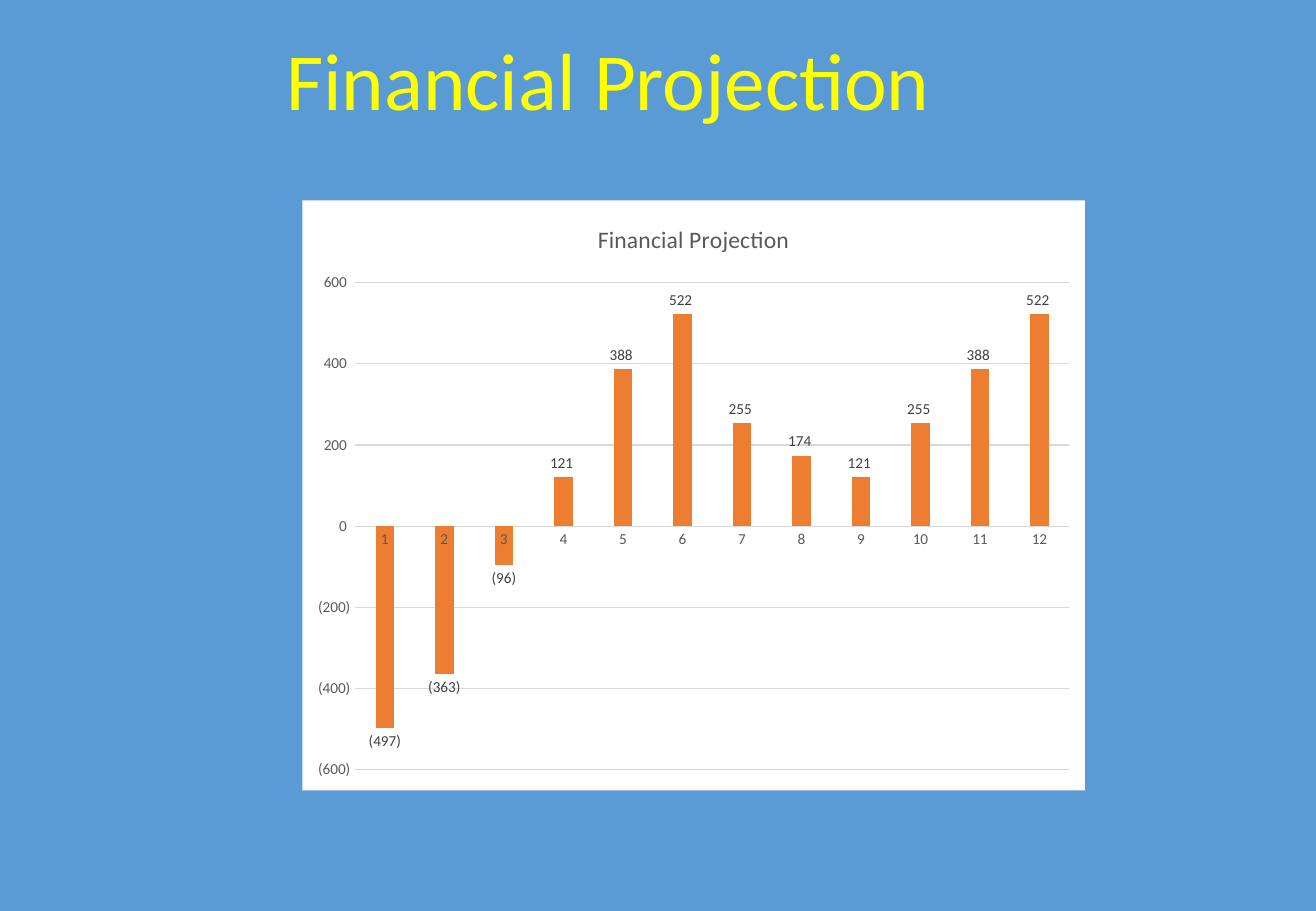
from lxml import etree
from pptx import Presentation
from pptx.chart.data import CategoryChartData
from pptx.dml.color import RGBColor
from pptx.enum.chart import XL_CHART_TYPE, XL_LABEL_POSITION, XL_TICK_MARK
from pptx.enum.text import MSO_ANCHOR, PP_ALIGN
from pptx.oxml import parse_xml
from pptx.oxml.ns import nsdecls
from pptx.util import Cm, Pt

COLUMN = XL_CHART_TYPE.COLUMN_CLUSTERED
OUTSIDE = XL_LABEL_POSITION.OUTSIDE_END
NO_TICK = XL_TICK_MARK.NONE
CENTER = PP_ALIGN.CENTER
MIDDLE = MSO_ANCHOR.MIDDLE

COLORS = {
    "back": "5B9BD5",
    "head": "FFFF00",
    "panel": "FFFFFF",
    "bar": "ED7D31",
    "grid": "D9D9D9",
    "axis": "595959",
    "label": "404040",
}
FACE = "Calibri"
FORMAT = r"#,##0_);\(#,##0\)"
VALUES = (-497, -363, -96, 121, 388, 522, 255, 174, 121, 255, 388, 522)
SCALE = {"minimum_scale": -600, "maximum_scale": 600, "major_unit": 200}
NUMBER = {"number_format": FORMAT, "number_format_is_linked": False}
LABELS = {**NUMBER, "show_value": True, "position": OUTSIDE}
TICKS = {"major_tick_mark": NO_TICK, "minor_tick_mark": NO_TICK}


def apply(target, values):
    for name, value in values.items():
        setattr(target, name, value)


def color(name):
    return RGBColor.from_string(COLORS[name])


def style(font, size, name):
    apply(font, {"name": FACE, "size": Pt(size), "bold": False})
    font.color.rgb = color(name)


def rule(line):
    line.color.rgb = color("grid")
    line.width = Pt(0.75)


def add_title(slide, box, text):
    title = slide.shapes.title
    apply(title, dict(zip(("left", "top", "width", "height"), box)))
    frame = title.text_frame
    apply(frame, {"text": text, "vertical_anchor": MIDDLE, "word_wrap": True})
    line = frame.paragraphs[0]
    line.alignment = CENTER
    style(line.runs[0].font, 48, "head")


def fill_panel(chart):
    panel = parse_xml(
        f'<c:spPr {nsdecls("c", "a")}><a:solidFill>'
        f'<a:srgbClr val="{COLORS["panel"]}"/></a:solidFill>'
        "<a:ln><a:noFill/></a:ln></c:spPr>"
    )
    space = chart.element
    tag = etree.QName(space).namespace
    space.find(f"{{{tag}}}chart").addnext(panel)


def add_bars(slide, box, text):
    data = CategoryChartData()
    data.categories = [str(i) for i in range(1, len(VALUES) + 1)]
    data.add_series("Series 1", VALUES)
    chart = slide.shapes.add_chart(COLUMN, *box, data).chart
    style(chart.font, 10, "axis")
    fill_panel(chart)

    chart.has_legend = False
    chart.has_title = True
    title = chart.chart_title
    title.include_in_layout = False
    title.text_frame.text = text
    style(title.text_frame.paragraphs[0].runs[0].font, 14, "axis")

    for axis in (chart.category_axis, chart.value_axis):
        apply(axis, TICKS)
        style(axis.tick_labels.font, 9, "axis")
    rule(chart.category_axis.format.line)
    scale = chart.value_axis
    apply(scale, SCALE)
    apply(scale.tick_labels, NUMBER)
    scale.format.line.fill.background()
    rule(scale.major_gridlines.format.line)

    plot = chart.plots[0]
    apply(plot, {"gap_width": 219, "overlap": -27, "vary_by_categories": False})
    bars = plot.series[0]
    bars.invert_if_negative = False
    bars.format.fill.solid()
    bars.format.fill.fore_color.rgb = color("bar")
    apply(bars.data_labels, LABELS)
    style(bars.data_labels.font, 9, "label")


def main():
    deck = Presentation()
    apply(deck, {"slide_width": Cm(27.51), "slide_height": Cm(19.05)})
    slide = deck.slides.add_slide(deck.slide_layouts[5])
    back = slide.background.fill
    back.solid()
    back.fore_color.rgb = color("back")
    head = (Cm(0.66), Cm(0.48), Cm(24.49), Cm(2.31))
    body = (Cm(6.32), Cm(4.19), Cm(16.36), Cm(12.34))
    add_title(slide, head, "Financial Projection ")
    add_bars(slide, body, "Financial Projection")
    deck.save("out.pptx")


if __name__ == "__main__":
    main()
